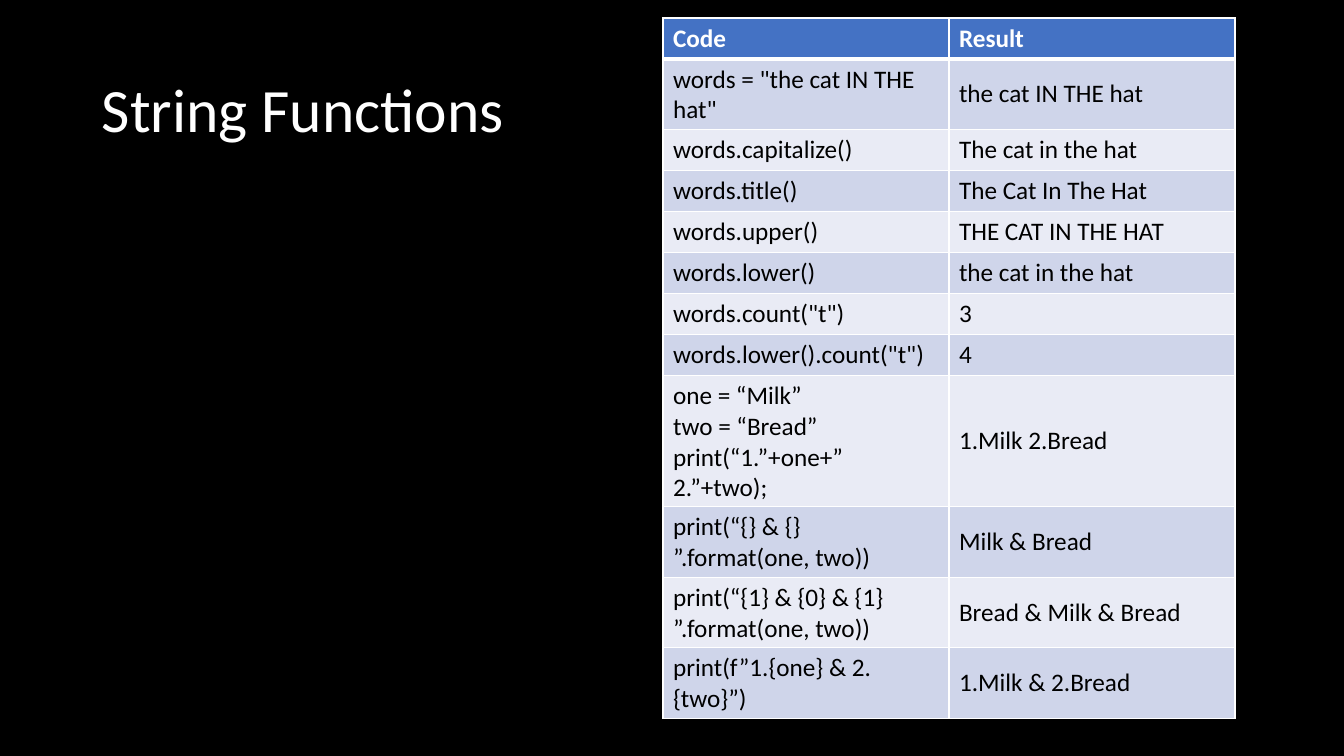
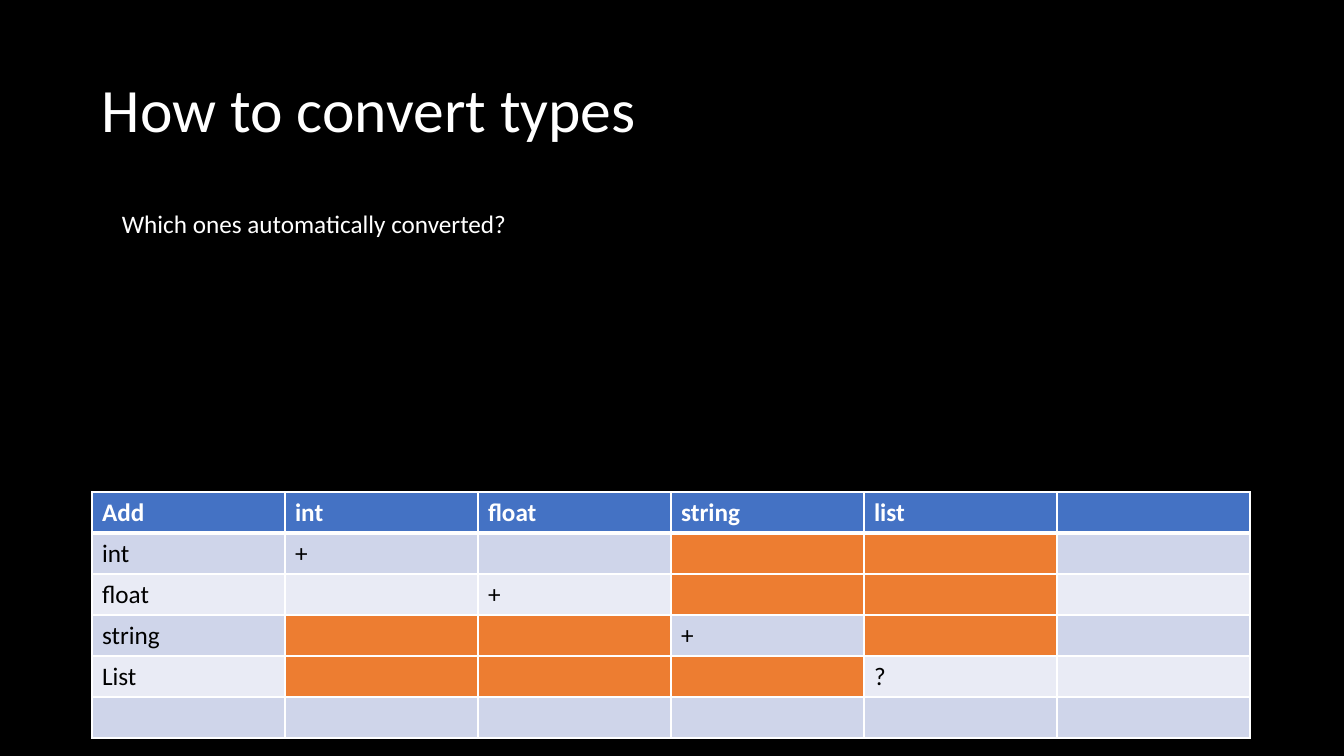
import lxml.etree
import pptx
import pptx.dml.color
import pptx.enum.text
import pptx.oxml.ns
import pptx.util

SCALE = 914400 / 100.8
FONT = "Calibri"
COLOURS = {
    "background": "000000",
    "light": "FFFFFF",
    "dark": "000000",
    "header": "4472C4",
    "odd": "CFD5EA",
    "even": "E9EBF5",
    "marked": "ED7D31",
}
ANCHOR = pptx.enum.text.MSO_ANCHOR
TITLE_BOX = (92, 40, 1159, 146)
ROW_HEIGHT = 41

FUNCTION_ROWS = [
    ["Code", "Result"],
    ['words = "the cat IN THE hat"', "the cat IN THE hat"],
    ["words.capitalize()", "The cat in the hat"],
    ["words.title()", "The Cat In The Hat"],
    ["words.upper()", "THE CAT IN THE HAT"],
    ["words.lower()", "the cat in the hat"],
    ['words.count("t")', "3"],
    ['words.lower().count("t")', "4"],
    ["one = “Milk”\ntwo = “Bread”\nprint(“1.”+one+” 2.”+two);", "1.Milk 2.Bread"],
    ["print(“{} & {} ”.format(one, two))", "Milk & Bread"],
    ["print(“{1} & {0} & {1} ”.format(one, two))", "Bread & Milk & Bread"],
    ["print(f”1.{one} & 2.{two}”)", "1.Milk & 2.Bread"],
]
CONVERSION_ROWS = [
    ["Add", "int", "float", "string", "list", ""],
    ["int", "+", "", "", "", ""],
    ["float", "", "+", "", "", ""],
    ["string", "", "", "+", "", ""],
    ["List", "", "", "", "?", ""],
    ["", "", "", "", "", ""],
]
MARKED_CELLS = {(1, 3), (1, 4), (2, 3), (2, 4), (3, 1), (3, 2), (3, 4),
                (4, 1), (4, 2), (4, 3)}


def px(length):
    return pptx.util.Emu(round(length * SCALE))


def colour(name):
    return pptx.dml.color.RGBColor.from_string(COLOURS[name])


def write_text(frame, text, size=18, ink="light", bold=False, spacing=None):
    for index, line in enumerate(text.split("\n")):
        para = frame.add_paragraph() if index else frame.paragraphs[0]
        para.line_spacing = spacing
        para.font.size = pptx.util.Pt(size)
        if line:
            span = para.add_run()
            span.text = line
            span.font.name = FONT
            span.font.size = pptx.util.Pt(size)
            span.font.bold = bold
            span.font.color.rgb = colour(ink)


def add_text_box(page, box, text, anchor=ANCHOR.TOP, wrap=True, **style):
    frame = page.shapes.add_textbox(*map(px, box)).text_frame
    frame.word_wrap = wrap
    frame.vertical_anchor = anchor
    write_text(frame, text, **style)


def add_page(deck, title):
    page = deck.slides.add_slide(deck.slide_layouts[6])
    page.background.fill.solid()
    page.background.fill.fore_color.rgb = colour("background")
    add_text_box(page, TITLE_BOX, title, anchor=ANCHOR.MIDDLE, size=44, spacing=0.9)
    return page


def set_borders(cell, top=1, bottom=1):
    properties = cell._tc.get_or_add_tcPr()
    for side, width in (("L", 1), ("R", 1), ("T", top), ("B", bottom)):
        line = lxml.etree.SubElement(properties, pptx.oxml.ns.qn("a:ln" + side),
                                     w=str(pptx.util.Pt(width)))
        solid = lxml.etree.SubElement(line, pptx.oxml.ns.qn("a:solidFill"))
        lxml.etree.SubElement(solid, pptx.oxml.ns.qn("a:srgbClr"), val=COLOURS["light"])


def add_banded_table(page, left, top, column_width, rows, anchor=ANCHOR.TOP, marked=()):
    columns = len(rows[0])
    box = (left, top, column_width * columns, ROW_HEIGHT * len(rows))
    table = page.shapes.add_table(len(rows), columns, *map(px, box)).table
    for column in table.columns:
        column.width = px(column_width)
    for r, row in enumerate(rows):
        table.rows[r].height = px(ROW_HEIGHT)
        band = "header" if r == 0 else "odd" if r % 2 else "even"
        for c, text in enumerate(row):
            cell = table.cell(r, c)
            set_borders(cell, top=3 if r == 1 else 1, bottom=3 if r == 0 else 1)
            cell.fill.solid()
            cell.fill.fore_color.rgb = colour("marked" if (r, c) in marked else band)
            cell.vertical_anchor = anchor
            write_text(cell.text_frame, text, ink="dark" if r else "light", bold=r == 0)


def build_functions_page(deck):
    page = add_page(deck, "String Functions")
    add_banded_table(page, 663, 18, 286, FUNCTION_ROWS, anchor=ANCHOR.MIDDLE)


def build_conversion_page(deck):
    page = add_page(deck, "How to convert types")
    add_banded_table(page, 92, 492, 193, CONVERSION_ROWS, marked=MARKED_CELLS)
    add_text_box(page, (112, 203, 409, 40), "Which ones automatically converted?", wrap=False)


def main():
    deck = pptx.Presentation()
    deck.slide_width, deck.slide_height = px(1344), px(756)
    build_functions_page(deck)
    build_conversion_page(deck)
    deck.save("out.pptx")


if __name__ == "__main__":
    main()
